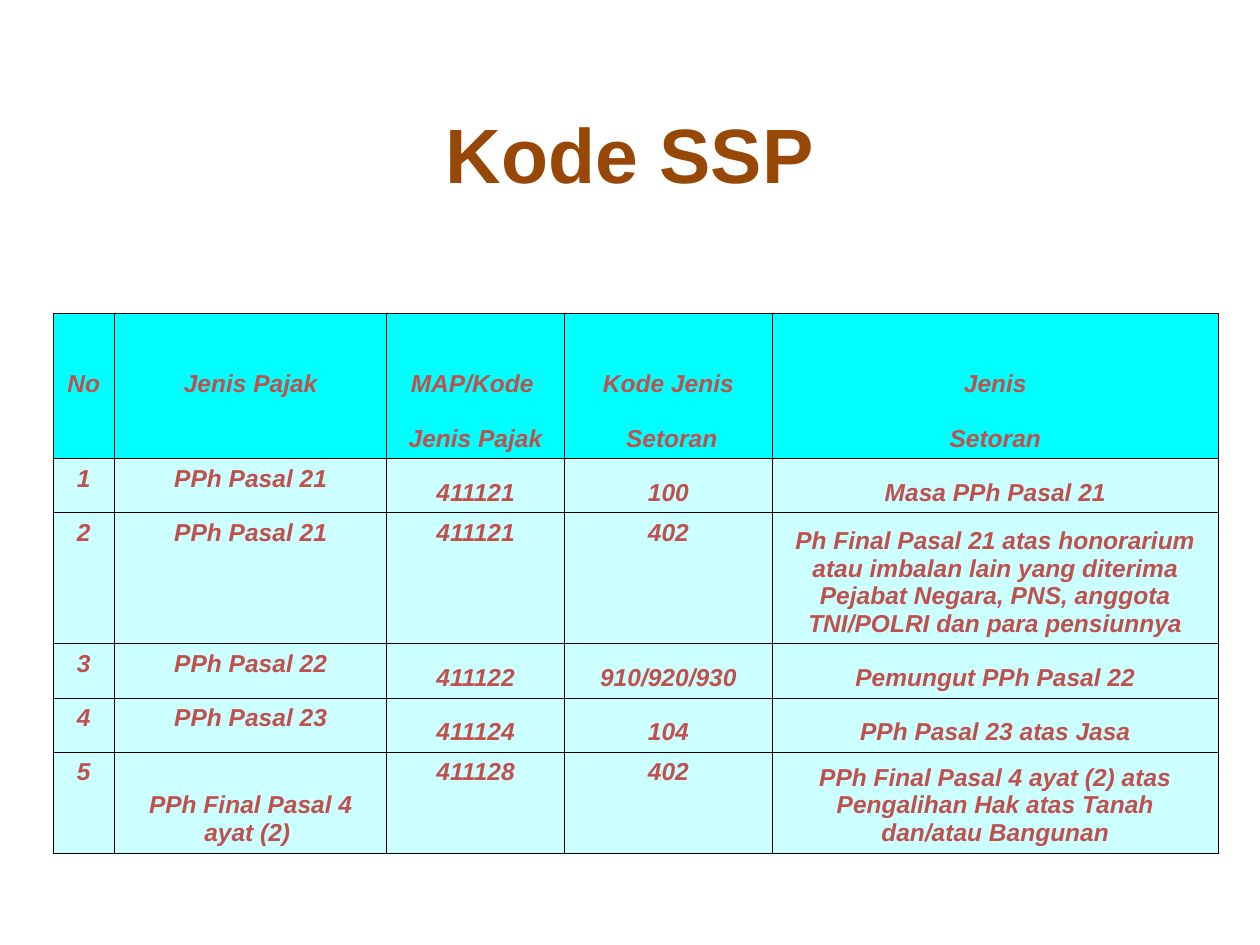
from dataclasses import dataclass

from lxml.etree import SubElement
from pptx import Presentation
from pptx.dml.color import RGBColor
from pptx.enum.text import MSO_ANCHOR as Anchor, PP_ALIGN as Align
from pptx.oxml.ns import qn
from pptx.util import Inches, Pt

TITLE_COLOR = "974806"
TEXT_COLOR = "C0504D"
HEADER_FILL = "00FFFF"
BODY_FILL = "CCFFFF"
BORDER_COLOR = "000000"
BORDER_WIDTH = Pt(0.45)
COLUMN_WIDTHS = (0.49, 2.16, 1.41, 1.65, 3.54)


@dataclass
class TaxRow:
    texts: tuple[str, ...]
    height: float
    anchors: str = "ttbbb"
    fill: str = BODY_FILL
    top_line: bool = True
    bottom_line: bool = True


TAX_ROWS = (
    TaxRow(("No", "Jenis Pajak", "MAP/Kode ", "Kode Jenis", "Jenis"),
           0.72, "bbbbb", HEADER_FILL, bottom_line=False),
    TaxRow(("", "", "Jenis Pajak", " Setoran", "Setoran"),
           0.43, "bbbbb", HEADER_FILL, top_line=False),
    TaxRow(("1", "PPh Pasal 21", "411121", "100", "Masa PPh Pasal 21"), 0.43),
    TaxRow(("2", "PPh Pasal 21", "411121", "402",
            "Ph Final Pasal 21 atas honorarium atau imbalan lain yang diterima "
            "Pejabat Negara, PNS, anggota TNI/POLRI dan para pensiunnya"),
           1.04, "ttttb"),
    TaxRow(("3", "PPh Pasal 22", "411122", "910/920/930", "Pemungut PPh Pasal 22"), 0.43),
    TaxRow(("4", "PPh Pasal 23", "411124", "104", "PPh Pasal 23 atas Jasa"), 0.43),
    TaxRow(("5", "PPh Final Pasal 4 ayat (2) ", "411128", "402",
            "PPh Final Pasal 4 ayat (2) atas Pengalihan Hak atas Tanah dan/atau Bangunan"),
           0.8, "tbttb"),
)


def rgb(color: str) -> RGBColor:
    return RGBColor.from_string(color)


def format_text(text_frame, size: int, color: str, italic: bool) -> None:
    for paragraph in text_frame.paragraphs:
        paragraph.alignment = Align.CENTER
        for run in paragraph.runs:
            run.font.name = "Arial"
            run.font.size = Pt(size)
            run.font.bold = True
            run.font.italic = italic
            run.font.color.rgb = rgb(color)


def draw_borders(cell, top: bool, bottom: bool) -> None:
    properties = cell._tc.get_or_add_tcPr()
    for side, visible in (("L", True), ("R", True), ("T", top), ("B", bottom)):
        line = SubElement(properties, qn(f"a:ln{side}"), w=str(BORDER_WIDTH))
        if visible:
            fill = SubElement(line, qn("a:solidFill"))
            SubElement(fill, qn("a:srgbClr"), val=BORDER_COLOR)
        else:
            SubElement(line, qn("a:noFill"))


def draw_cell(cell, text: str, anchor: str, row: TaxRow) -> None:
    cell.text_frame.text = text
    format_text(cell.text_frame, 14, TEXT_COLOR, True)
    cell.vertical_anchor = Anchor.BOTTOM if anchor == "b" else Anchor.TOP
    draw_borders(cell, row.top_line, row.bottom_line)
    cell.fill.solid()
    cell.fill.fore_color.rgb = rgb(row.fill)


def draw_title(slide) -> None:
    title = slide.shapes.title
    title.left, title.top = Inches(0.5), Inches(0.59)
    title.width, title.height = Inches(9), Inches(1.25)
    title.text_frame.text = "Kode SSP"
    title.text_frame.vertical_anchor = Anchor.MIDDLE
    format_text(title.text_frame, 44, TITLE_COLOR, False)


def draw_tax_table(slide) -> None:
    tax_table = slide.shapes.add_table(
        len(TAX_ROWS), len(COLUMN_WIDTHS), Inches(0.42), Inches(2.49),
        Inches(sum(COLUMN_WIDTHS)), Inches(sum(row.height for row in TAX_ROWS))).table
    tax_table.first_row = False
    tax_table.horz_banding = False
    for column, width in zip(tax_table.columns, COLUMN_WIDTHS):
        column.width = Inches(width)
    for table_row, row in zip(tax_table.rows, TAX_ROWS):
        table_row.height = Inches(row.height)
        for cell, text, anchor in zip(table_row.cells, row.texts, row.anchors):
            draw_cell(cell, text, anchor, row)


def main() -> None:
    presentation = Presentation()
    presentation.slide_width = Inches(10)
    presentation.slide_height = Inches(7.5)
    slide = presentation.slides.add_slide(presentation.slide_layouts[5])
    draw_title(slide)
    draw_tax_table(slide)
    presentation.save("out.pptx")


if __name__ == "__main__":
    main()
